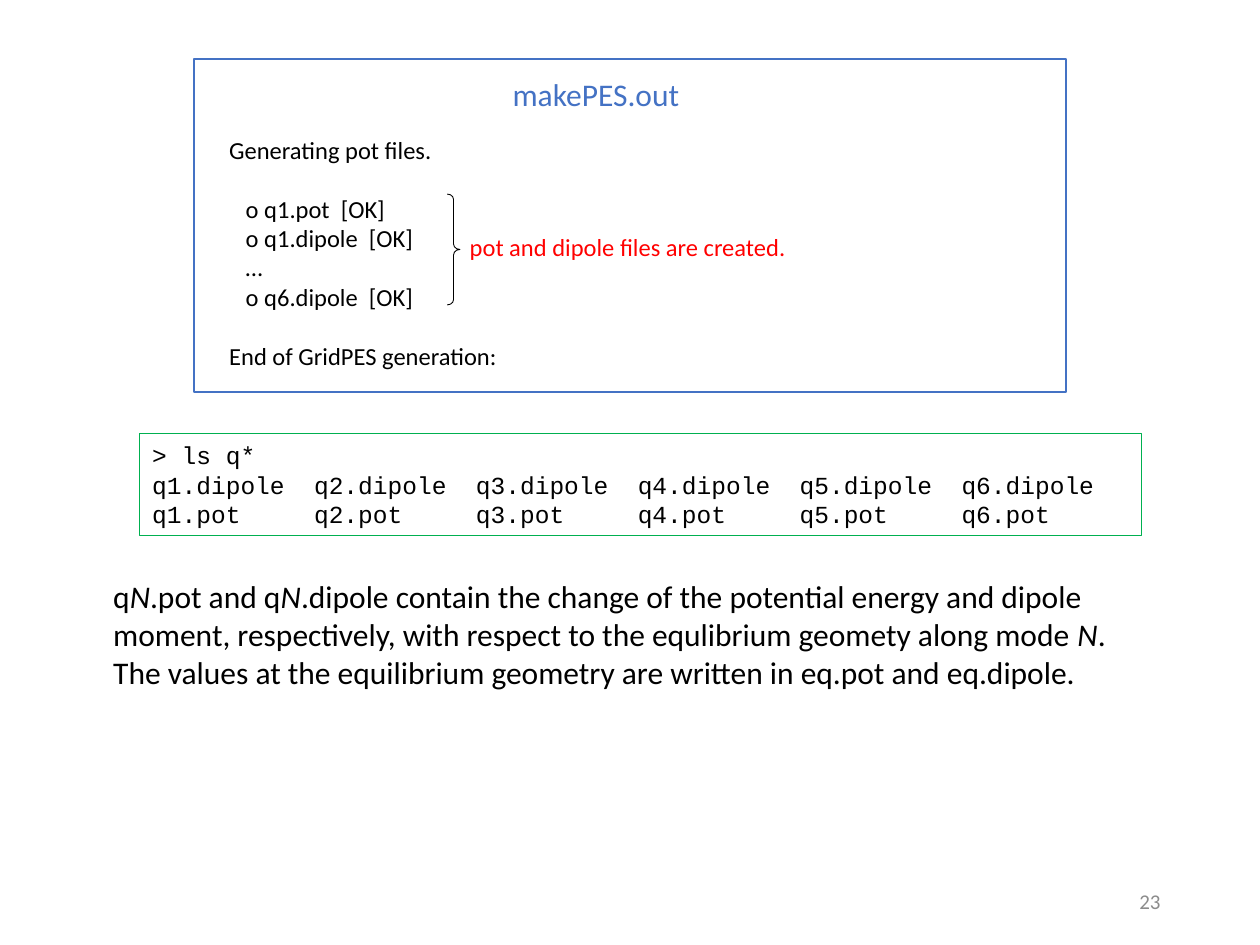
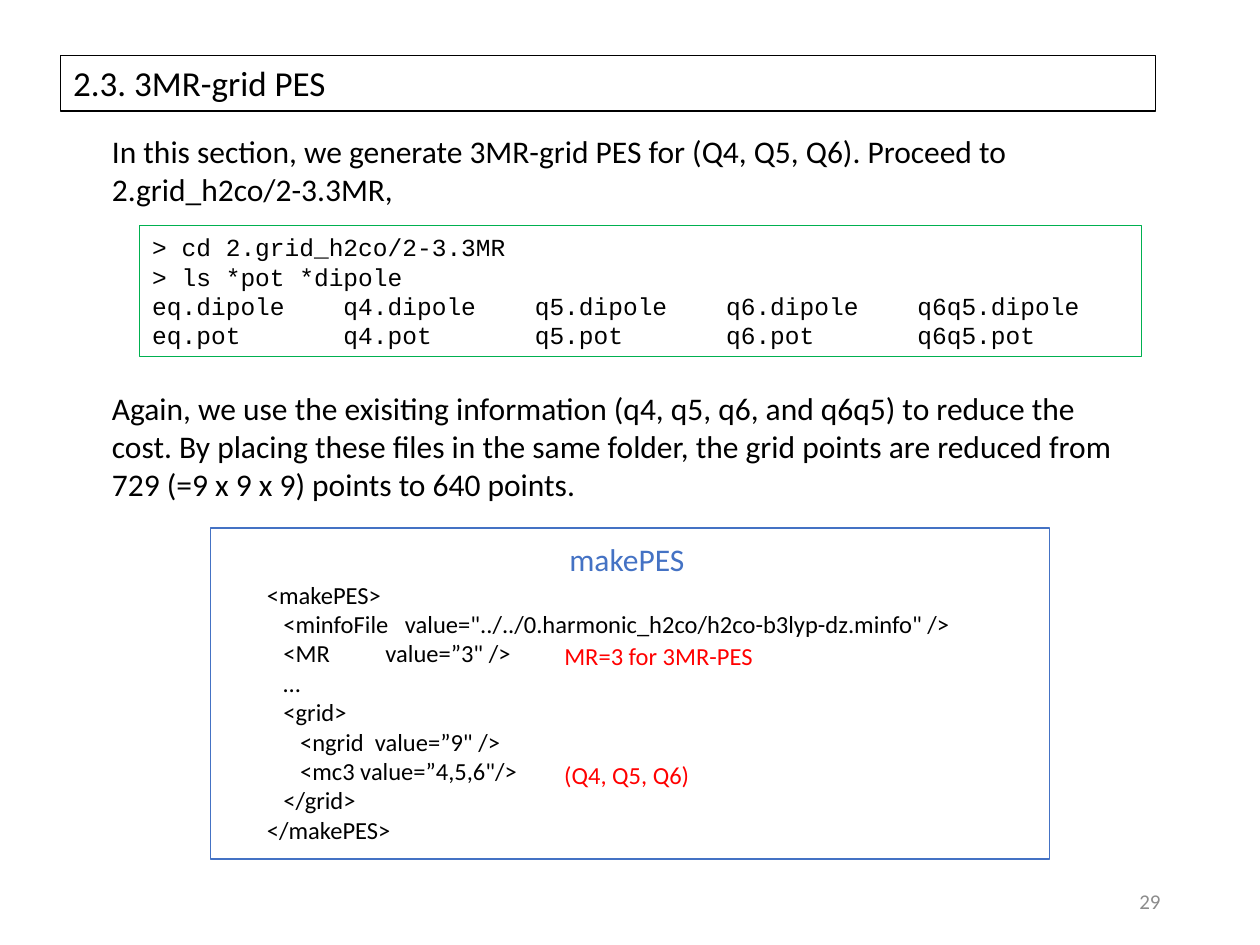
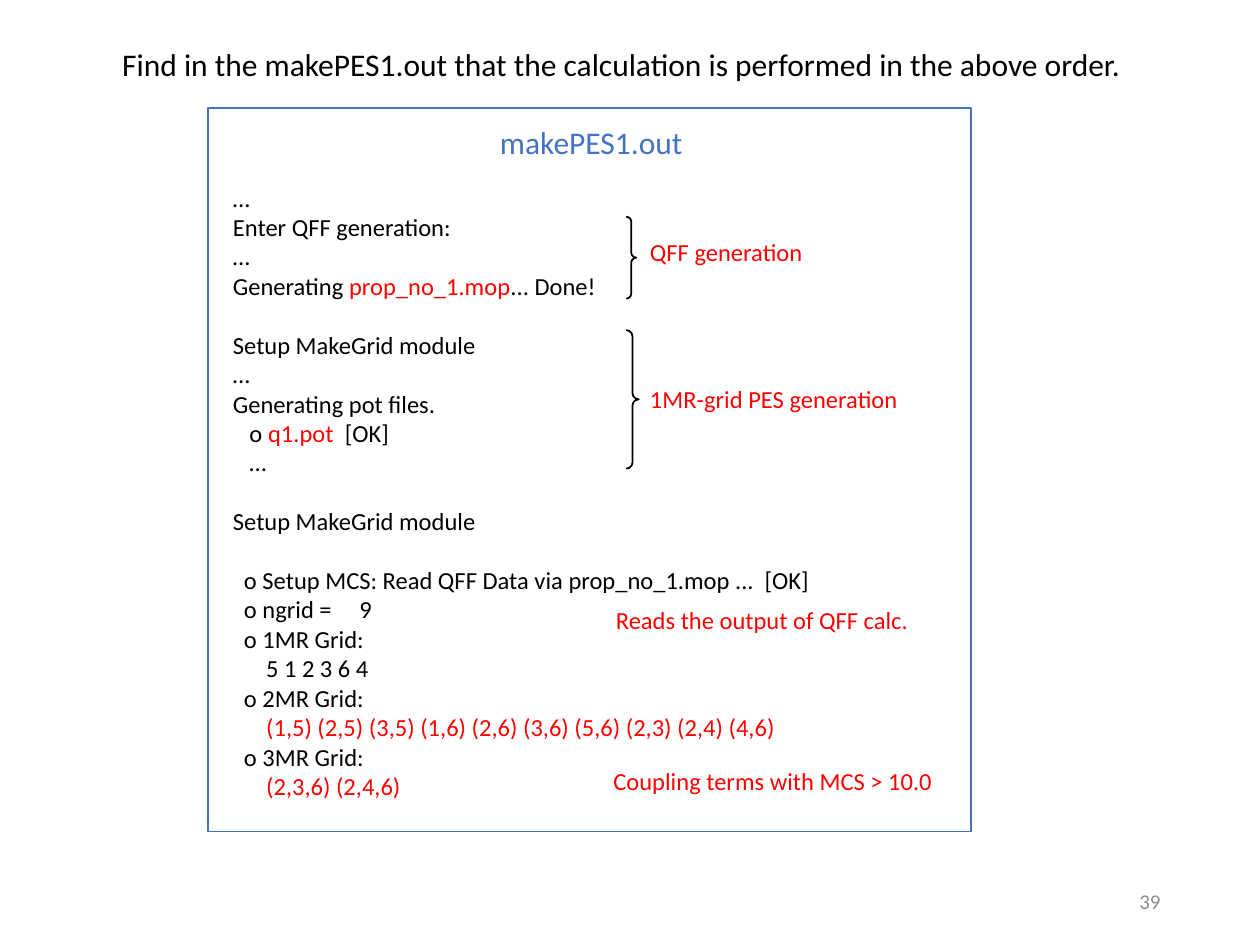
from lxml import etree
from pptx import Presentation
from pptx.dml.color import RGBColor
from pptx.enum.shapes import MSO_SHAPE
from pptx.enum.text import MSO_ANCHOR, MSO_AUTO_SIZE, PP_ALIGN
from pptx.util import Inches, Pt

RECT, BRACE = MSO_SHAPE.RECTANGLE, MSO_SHAPE.RIGHT_BRACE
TOP, MIDDLE = MSO_ANCHOR.TOP, MSO_ANCHOR.MIDDLE
LEFT, RIGHT = PP_ALIGN.LEFT, PP_ALIGN.RIGHT
NO_AUTOFIT = MSO_AUTO_SIZE.NONE
TITLE_ONLY, BLANK = 5, 6

# Shared look
SANS, MONO = "Calibri", "Courier New"
BLACK, RED, BLUE, GREEN, GRAY = "000000", "FF0000", "4472C4", "00B050", "8C8C8C"
HEADING, BODY, SMALL, FOOTER = 20, 18, 14, 12
BLANK_LINE = 16.8
GAP = "gap"  # leaves one line free above the next paragraph


def rgb(color):
    return RGBColor.from_string(color)


def red(text):
    return text, {"color": RED}


def italic(text):
    return text, {"italic": True}


def add_run(p, text, size, font, color, italic=False):
    r = p.add_run()
    r.text = text
    r.font.size, r.font.name, r.font.italic = Pt(size), font, italic
    r.font.color.rgb = rgb(color)


def fill_text(tf, lines, size=SMALL, color=BLACK, font=SANS, align=LEFT,
              anchor=TOP, wrap=True):
    """Each line is a string or a list of runs; a run is a string or (text, style)."""
    tf.word_wrap, tf.auto_size, tf.vertical_anchor = wrap, NO_AUTOFIT, anchor
    p, gap = None, False
    for line in lines:
        if line == GAP:
            gap = True
            continue
        p = tf.add_paragraph() if p is not None else tf.paragraphs[0]
        p.alignment = align
        p.space_before = Pt(BLANK_LINE if gap else 0)
        gap = False
        for run in [line] if isinstance(line, str) else line:
            text, style = (run, {}) if isinstance(run, str) else run
            add_run(p, text, **{"size": size, "font": font, "color": color, **style})


def add_text(s, at, lines, **style):
    sp = s.shapes.add_textbox(*map(Inches, at))
    fill_text(sp.text_frame, lines, **style)


def add_outline(s, kind, at, color, width):
    sp = s.shapes.add_shape(kind, *map(Inches, at))
    sp.shadow.inherit = False
    sp.fill.background()
    sp.line.color.rgb, sp.line.width = rgb(color), Pt(width)
    return sp


def add_title(s, at, text, size):
    sp = s.shapes.title
    sp.left, sp.top, sp.width, sp.height = map(Inches, at)
    fill_text(sp.text_frame, [text], size=size)
    return sp


def add_terminal(s, top, height, lines):
    sp = add_outline(s, RECT, (1.11, top, 7.95, height), GREEN, 0.75)
    fill_text(sp.text_frame, lines, font=MONO, anchor=MIDDLE)


def add_file_panel(s, at, name, name_at, lines, text_at):
    add_outline(s, RECT, at, BLUE, 1)
    add_text(s, name_at, [name], size=BODY, color=BLUE, wrap=False)
    add_text(s, text_at, lines, wrap=False)


def add_note(s, left, top, width, text):
    add_text(s, (left, top, width, 0.34), [text], color=RED, wrap=False)


def add_brace(s, at, curve, width):
    sp = add_outline(s, BRACE, at, BLACK, width)
    sp.adjustments[0], sp.adjustments[1] = curve, 0.5


def add_slide(prs, layout, number):
    s = prs.slides.add_slide(prs.slide_layouts[layout])
    add_text(s, (7.06, 6.95, 2.25, 0.4), [number], size=FOOTER, color=GRAY,
             align=RIGHT, anchor=MIDDLE)
    return s


def pot_files_slide(prs):
    s = add_slide(prs, BLANK, "23")
    add_file_panel(
        s, (1.54, 0.47, 6.92, 2.64), "makePES.out", (3.97, 0.55, 1.54, 0.4),
        ["Generating pot files.",
         GAP,
         "   o q1.pot  [OK]",
         "   o q1.dipole  [OK]",
         "   …",
         "   o q6.dipole  [OK]",
         GAP,
         "End of GridPES generation:"],
        (1.72, 1.02, 2.35, 1.99))
    add_brace(s, (3.55, 1.54, 0.1, 0.88), 0.425, 0.5)
    add_note(s, 3.63, 1.79, 2.73, "pot and dipole files are created.")
    add_terminal(s, 3.44, 0.81, [
        "> ls q*",
        "q1.dipole  q2.dipole  q3.dipole  q4.dipole  q5.dipole  q6.dipole",
        "q1.pot     q2.pot     q3.pot     q4.pot     q5.pot     q6.pot"])
    add_text(s, (0.8, 4.53, 8.25, 1.01), [[
        "q", italic("N"), ".pot and q", italic("N"),
        ".dipole contain the change of the potential energy and dipole moment, "
        "respectively, with respect to the equlibrium geomety along mode ",
        italic("N"),
        ". The values at the equilibrium geometry are written in eq.pot and "
        "eq.dipole."]], size=BODY)


def three_mode_slide(prs):
    s = add_slide(prs, TITLE_ONLY, "29")
    title = add_title(s, (0.48, 0.44, 8.69, 0.44), "2.3. 3MR-grid PES", HEADING)
    title.line.color.rgb, title.line.width = rgb(BLACK), Pt(0.75)
    add_text(s, (0.79, 1, 8.27, 0.71), [
        "In this section, we generate 3MR-grid PES for (Q4, Q5, Q6). Proceed to "
        "2.grid_h2co/2-3.3MR,"], size=BODY)
    add_terminal(s, 1.79, 1.04, [
        "> cd 2.grid_h2co/2-3.3MR",
        "> ls *pot *dipole",
        "eq.dipole    q4.dipole    q5.dipole    q6.dipole    q6q5.dipole",
        "eq.pot       q4.pot       q5.pot       q6.pot       q6q5.pot"])
    add_text(s, (0.79, 3.04, 8.27, 1.01), [
        "Again, we use the exisiting information (q4, q5, q6, and q6q5) to reduce "
        "the cost. By placing these files in the same folder, the grid points are "
        "reduced from 729 (=9 x 9 x 9) points to 640 points."], size=BODY)
    add_file_panel(
        s, (1.67, 4.19, 6.66, 2.63), "makePES", (4.42, 4.24, 1.12, 0.4),
        ['<makePES>',
         '   <minfoFile   value="../../0.harmonic_h2co/h2co-b3lyp-dz.minfo" />',
         '   <MR          value=”3" />',
         '   …',
         '   <grid>',
         '      <ngrid  value=”9" />',
         '      <mc3 value=”4,5,6"/>',
         '   </grid>',
         '</makePES>'],
        (2.02, 4.55, 5.66, 2.22))
    add_note(s, 4.38, 5.04, 1.71, "MR=3 for 3MR-PES")
    add_note(s, 4.38, 5.98, 1.2, "(Q4, Q5, Q6)")


def calculation_order_slide(prs):
    s = add_slide(prs, TITLE_ONLY, "39")
    add_title(s, (0.87, 0.31, 8.14, 0.4),
              "Find in the makePES1.out that the calculation is performed in the "
              "above order.", BODY)
    add_file_panel(
        s, (1.65, 0.86, 6.06, 5.74), "makePES1.out", (3.87, 0.93, 1.66, 0.4),
        ["…",
         "Enter QFF generation:",
         "…",
         ["Generating ", red("prop_no_1.mop"), "... Done!"],
         GAP,
         "Setup MakeGrid module",
         "…",
         "Generating pot files.",
         ["   o ", red("q1.pot"), "  [OK]"],
         "   …",
         GAP,
         "Setup MakeGrid module",
         GAP,
         "  o Setup MCS: Read QFF Data via prop_no_1.mop ...  [OK]",
         "  o ngrid =     9",
         "  o 1MR Grid:",
         "      5 1 2 3 6 4",
         "  o 2MR Grid:",
         [red("      (1,5) (2,5) (3,5) (1,6) (2,6) (3,6) (5,6) (2,3) (2,4) (4,6)")],
         "  o 3MR Grid:",
         [red("      (2,3,6) (2,4,6)")]],
        (1.75, 1.4, 4.81, 5.28))
    add_brace(s, (4.97, 1.72, 0.08, 0.65), 0.486, 1)
    add_note(s, 5.06, 1.83, 1.42, "QFF generation")
    add_brace(s, (4.97, 2.62, 0.1, 1.1), 0.486, 1)
    add_note(s, 5.06, 3, 2.19, "1MR-grid PES generation")
    add_note(s, 4.79, 4.75, 2.54, "Reads the output of QFF calc.")
    add_note(s, 4.77, 6.03, 2.73, "Coupling terms with MCS > 10.0")


def main():
    prs = Presentation()
    prs.slide_width, prs.slide_height = Inches(10), Inches(7.5)
    pot_files_slide(prs)
    three_mode_slide(prs)
    calculation_order_slide(prs)
    prs.save("out.pptx")


if __name__ == "__main__":
    main()
